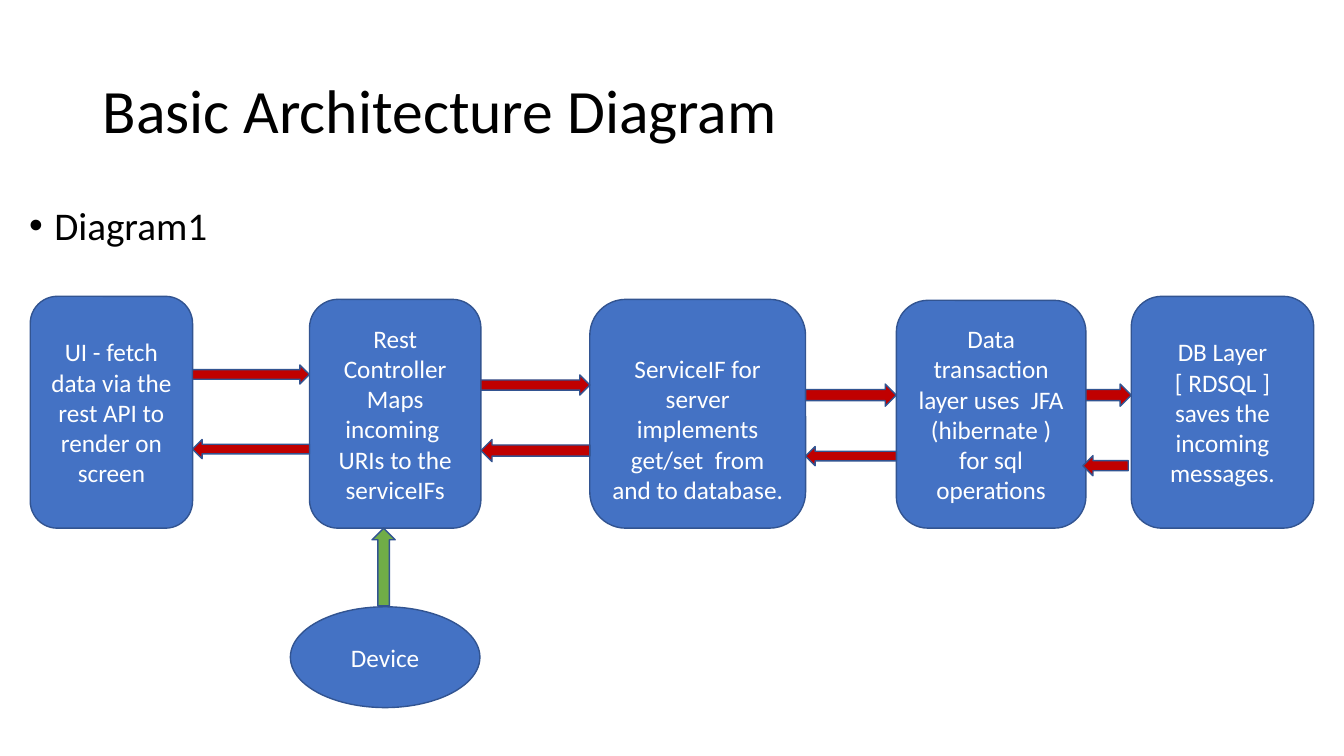
from lxml import etree
from pptx import Presentation
from pptx.dml.color import RGBColor
from pptx.enum.shapes import MSO_SHAPE
from pptx.enum.text import MSO_ANCHOR, PP_ALIGN
from pptx.oxml.ns import qn
from pptx.util import Inches, Pt

ROUNDED, ELLIPSE = MSO_SHAPE.ROUNDED_RECTANGLE, MSO_SHAPE.OVAL
RIGHT, LEFT, UP = MSO_SHAPE.RIGHT_ARROW, MSO_SHAPE.LEFT_ARROW, MSO_SHAPE.UP_ARROW
TOP, MIDDLE = MSO_ANCHOR.TOP, MSO_ANCHOR.MIDDLE
ALIGN_LEFT, ALIGN_CENTER = PP_ALIGN.LEFT, PP_ALIGN.CENTER

BLUE, OUTLINE, RED, GREEN = "4472C4", "325491", "C00000", "70AD47"
BLACK, WHITE = "000000", "FFFFFF"
BOTTOM = 5.24

TITLE = "Basic Architecture Diagram"
BULLET = "Diagram1"
LAYERS = [
    {"text": "UI - fetch data via the rest API to render on screen",
     "left": 0.3, "top": 2.94, "width": 1.61},
    {"text": "Rest Controller Maps incoming  URIs to the serviceIFs",
     "left": 3.07, "top": 2.97, "width": 1.7},
    {"text": "ServiceIF for server implements get/set  from and to database.",
     "left": 5.85, "top": 2.97, "width": 2.14, "inset": 0.35},
    {"text": "Data transaction layer uses  JFA (hibernate ) for sql operations",
     "left": 8.89, "top": 2.98, "width": 1.88},
    {"text": "DB Layer [ RDSQL ] saves the incoming messages.",
     "left": 11.22, "top": 2.94, "width": 1.81},
]
REQUESTS = [(3.62, 0.19, 0), (3.72, 0.2, 0), (3.81, 0.22, 0), (3.81, 0.22, 0)]
REPLIES = [(4.36, 0.19, 0), (4.36, 0.22, 0), (4.43, 0.19, 0), (4.52, 0.2, -0.03)]
DEVICE = (2.88, 6.02, 1.88, 1)
DEVICE_ARROW = (3.69, BOTTOM, 0.23, 0.77)


def color(value):
    return RGBColor.from_string(value)


def write(shape, text, size, ink, alignment, anchor, inset=0.05, **formats):
    frame = shape.text_frame
    frame.word_wrap = True
    frame.vertical_anchor = anchor
    frame.margin_top = Inches(inset)
    paragraph = frame.paragraphs[0]
    for name, value in {"alignment": alignment, **formats}.items():
        setattr(paragraph, name, value)
    run = paragraph.add_run()
    run.text = text
    for name, value in {"name": "Calibri", "size": Pt(size)}.items():
        setattr(run.font, name, value)
    run.font.color.rgb = color(ink)
    return paragraph


def draw(kind, place, fill):
    shape = slide.shapes.add_shape(kind, *map(Inches, place))
    shape.shadow.inherit = False
    shape.fill.solid()
    shape.fill.fore_color.rgb = color(fill)
    shape.line.color.rgb = color(OUTLINE)
    shape.line.width = Pt(1)
    return shape


def add_text(place):
    return slide.shapes.add_textbox(*map(Inches, place))


presentation = Presentation()
presentation.slide_width, presentation.slide_height = Inches(13.33), Inches(7.5)
slide = presentation.slides.add_slide(presentation.slide_layouts[6])

write(add_text((0.92, 0.4, 11.5, 1.45)), TITLE, 44, BLACK, ALIGN_LEFT, MIDDLE,
      line_spacing=0.9)
bullet = write(add_text((0.19, 2, 13.04, 0.8)), BULLET, 28, BLACK, ALIGN_LEFT, TOP,
               line_spacing=0.9, space_before=Pt(10))
properties = bullet._p.get_or_add_pPr()
properties.set("marL", str(Inches(0.25)))
properties.set("indent", str(Inches(-0.25)))
etree.SubElement(properties, qn("a:buFont")).set("typeface", "Arial")
etree.SubElement(properties, qn("a:buChar")).set("char", "•")

for layer in LAYERS:
    place = (layer["left"], layer["top"], layer["width"], BOTTOM - layer["top"])
    write(draw(ROUNDED, place, BLUE), layer["text"], 18, WHITE, ALIGN_CENTER, MIDDLE,
          layer.get("inset", 0.05))

write(draw(ELLIPSE, DEVICE, BLUE), "Device", 18, WHITE, ALIGN_CENTER, MIDDLE)
draw(UP, DEVICE_ARROW, GREEN)

for kind, arrows in ((RIGHT, REQUESTS), (LEFT, REPLIES)):
    for layer, following, (top, height, shift) in zip(LAYERS, LAYERS[1:], arrows):
        start = layer["left"] + layer["width"]
        draw(kind, (start + shift, top, following["left"] - start, height), RED)

presentation.save("out.pptx")
